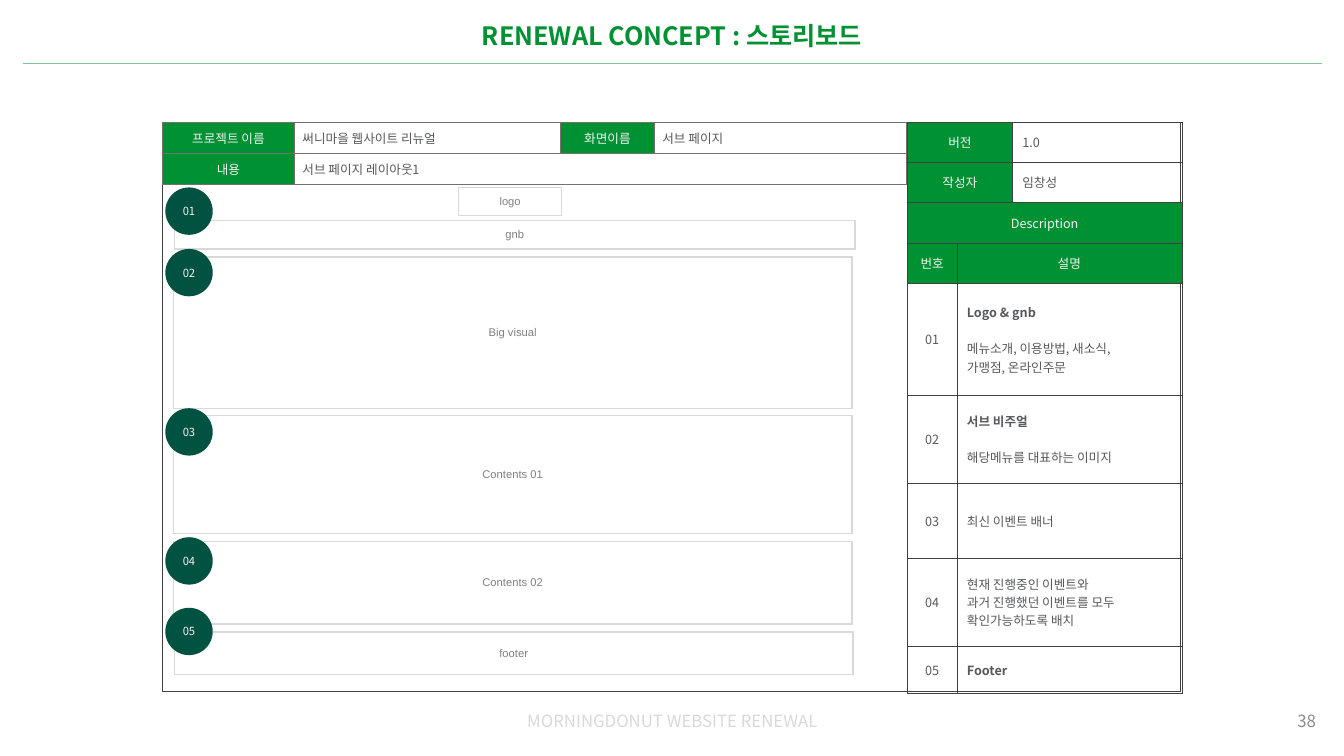
from dataclasses import dataclass
from pptx import Presentation
from pptx.dml.color import RGBColor
from pptx.enum.shapes import MSO_CONNECTOR, MSO_SHAPE
from pptx.enum.text import MSO_ANCHOR, MSO_AUTO_SIZE, PP_ALIGN
from pptx.oxml.ns import qn
from pptx.util import Inches, Pt
from lxml.etree import SubElement


@dataclass(frozen=True)
class Theme:
    font: str = "Noto Sans CJK KR"
    wire_font: str = "Arial"
    green: str = "009132"
    badge: str = "015240"
    light: str = "F2F2F2"
    body: str = "58595B"
    wire_text: str = "808080"
    wire_line: str = "D9D9D9"
    frame: str = "404040"
    info_line: str = "767171"
    page: str = "8C8C8C"
    white: str = "FFFFFF"
    title_size: float = 18
    footer_size: float = 12
    table_size: float = 9
    small_size: float = 8
    hairline: float = 0.25
    rule_line: float = 0.5
    wire_width: float = 1
    paragraph_gap: float = 13


@dataclass(frozen=True)
class Ink:
    size: float
    color: str
    font: str
    align: PP_ALIGN = PP_ALIGN.CENTER
    bold: bool = False


@dataclass(frozen=True)
class Cell:
    lines: tuple
    ink: Ink
    fill: str = ""
    span: int = 1
    bold_first: bool = False


class Storyboard:
    def __init__(self, slide, theme, width, height, columns, rows):
        self.slide = slide
        self.theme = theme
        self.column = width / columns
        self.row = height / rows

    def box(self, left, top, width, height):
        return (round(left * self.column), round(top * self.row),
                round(width * self.column), round(height * self.row))

    def add_lines(self, frame, lines, ink, bold_first=False):
        for index, line in enumerate(lines):
            paragraph = frame.paragraphs[0] if index == 0 else frame.add_paragraph()
            paragraph.alignment = ink.align
            if bold_first and index == 1:
                paragraph.space_before = Pt(self.theme.paragraph_gap)
            run = paragraph.add_run()
            run.text = line
            run.font.size = Pt(ink.size)
            run.font.bold = ink.bold or (bold_first and index == 0)
            run.font.color.rgb = RGBColor.from_string(ink.color)
            run.font.name = ink.font
            SubElement(run.font._element, qn("a:ea"), typeface=ink.font)

    def title(self, text, area):
        heading = self.slide.shapes.title
        heading.left, heading.top, heading.width, heading.height = self.box(*area)
        frame = heading.text_frame
        frame.auto_size = MSO_AUTO_SIZE.NONE
        frame.vertical_anchor = MSO_ANCHOR.TOP
        self.add_lines(frame, [text], Ink(self.theme.title_size, self.theme.green,
                                          self.theme.font, bold=True))

    def label(self, text, area, color, align):
        frame = self.slide.shapes.add_textbox(*self.box(*area)).text_frame
        frame.word_wrap = True
        frame.vertical_anchor = MSO_ANCHOR.MIDDLE
        self.add_lines(frame, [text], Ink(self.theme.footer_size, color, self.theme.font, align))

    def rule(self, left, right, top):
        x, y, width, _ = self.box(left, top, right - left, 0)
        line = self.slide.shapes.add_connector(MSO_CONNECTOR.STRAIGHT, x, y, x + width, y)
        line.line.width = Pt(self.theme.rule_line)
        line.line.color.rgb = RGBColor.from_string(self.theme.green)
        color = line._element.spPr.find(".//" + qn("a:srgbClr"))
        SubElement(color, qn("a:alpha"), val="50000")
        SubElement(line._element.spPr, qn("a:effectLst"))

    def frame(self, area):
        outline = self.slide.shapes.add_shape(MSO_SHAPE.RECTANGLE, *self.box(*area))
        outline.shadow.inherit = False
        outline.fill.background()
        outline.line.color.rgb = RGBColor.from_string(self.theme.frame)
        outline.line.width = Pt(self.theme.hairline)

    def badge(self, text, left, top, size):
        circle = self.slide.shapes.add_shape(MSO_SHAPE.OVAL, *self.box(left, top, size, size))
        circle.shadow.inherit = False
        circle.fill.solid()
        circle.fill.fore_color.rgb = RGBColor.from_string(self.theme.badge)
        circle.line.fill.background()
        circle.text_frame.vertical_anchor = MSO_ANCHOR.MIDDLE
        self.add_lines(circle.text_frame, [text],
                       Ink(self.theme.small_size, self.theme.light, self.theme.font))

    def border(self, cell, color, width):
        properties = cell._tc.get_or_add_tcPr()
        for side in ("lnL", "lnR", "lnT", "lnB"):
            edge = SubElement(properties, qn("a:" + side), w=str(int(Pt(width))))
            SubElement(SubElement(edge, qn("a:solidFill")), qn("a:srgbClr"), val=color)

    def table(self, left, top, widths, heights, content, line, line_width, inset=(0.1, 0.05)):
        area = self.box(left, top, sum(widths), sum(heights))
        grid = self.slide.shapes.add_table(len(heights), len(widths), *area).table
        grid.first_row = grid.horz_banding = False
        for column, width in zip(grid.columns, widths):
            column.width = round(width * self.column)
        for row, height in zip(grid.rows, heights):
            row.height = round(height * self.row)
        for cell in grid.iter_cells():
            self.border(cell, line, line_width)
            cell.fill.background()
        for row_index, entries in enumerate(content):
            column_index = 0
            for entry in entries:
                cell = grid.cell(row_index, column_index)
                if entry.span > 1:
                    cell.merge(grid.cell(row_index, column_index + entry.span - 1))
                cell.margin_left = cell.margin_right = Inches(inset[0])
                cell.margin_top = cell.margin_bottom = Inches(inset[1])
                cell.vertical_anchor = MSO_ANCHOR.MIDDLE
                if entry.fill:
                    cell.fill.solid()
                    cell.fill.fore_color.rgb = RGBColor.from_string(entry.fill)
                self.add_lines(cell.text_frame, entry.lines, entry.ink, entry.bold_first)
                column_index += entry.span

    def head(self, text, span=1):
        theme = self.theme
        return Cell((text,), Ink(theme.table_size, theme.light, theme.font), theme.green, span)

    def value(self, *lines, span=1, align=PP_ALIGN.LEFT, bold_first=False):
        theme = self.theme
        ink = Ink(theme.table_size, theme.body, theme.font, align)
        return Cell(lines, ink, span=span, bold_first=bold_first)

    def wireframe(self, text, left, top, width, height):
        theme = self.theme
        block = Cell((text,), Ink(theme.small_size, theme.wire_text, theme.wire_font), theme.white)
        self.table(left, top, [width], [height], [[block]], theme.wire_line, theme.wire_width)


def main():
    deck = Presentation()
    deck.slide_width, deck.slide_height = Inches(13.33), Inches(7.5)
    theme = Theme()
    board = Storyboard(deck.slides.add_slide(deck.slide_layouts[5]), theme,
                       deck.slide_width, deck.slide_height, columns=133.3, rows=75)

    board.title("RENEWAL CONCEPT : 스토리보드", (13.9, 1.5, 105.5, 4))
    board.rule(2.3, 131.1, 6.3)
    board.label("MORNINGDONUT WEBSITE RENEWAL", (44.2, 69.5, 45, 4),
                theme.wire_line, PP_ALIGN.CENTER)
    board.label("38", (101.5, 69.5, 30, 4), theme.page, PP_ALIGN.RIGHT)
    board.frame((16.1, 12.1, 101, 56.5))

    project = [
        [board.head("프로젝트 이름"), board.value("써니마을 웹사이트 리뉴얼"),
         board.head("화면이름"), board.value("서브 페이지")],
        [board.head("내용"), board.value("서브 페이지 레이아웃1", span=3)],
    ]
    board.table(16.1, 12.1, [13.1, 26.4, 9.3, 25], [3.1, 3.1], project,
                theme.info_line, theme.hairline, inset=(0.08, 0.04))

    notes = [
        board.value("Logo & gnb", "메뉴소개, 이용방법, 새소식,", "가맹점, 온라인주문",
                    span=2, bold_first=True),
        board.value("서브 비주얼", "해당메뉴를 대표하는 이미지", span=2, bold_first=True),
        board.value("최신 이벤트 배너", span=2),
        board.value("현재 진행중인 이벤트와", "과거 진행했던 이벤트를 모두 확인가능하도록 배치", span=2),
        board.value("Footer", span=2, bold_first=True),
    ]
    description = [
        [board.head("버전", 2), board.value("1.0")],
        [board.head("작성자", 2), board.value("임창성")],
        [board.head("Description", 3)],
        [board.head("번호"), board.head("설명", 2)],
    ] + [[board.value(f"{number:02}", align=PP_ALIGN.CENTER), note]
         for number, note in enumerate(notes, 1)]
    board.table(90, 12.1, [4.9, 5.5, 16.8], [4] * 4 + [11.1, 8.7, 7.5, 8.7, 4.7],
                description, theme.frame, theme.hairline)

    for section in [
        ("gnb", 17.3, 21.9, 67.5, 2.8),
        ("Big visual", 17.2, 25.5, 67.3, 15),
        ("logo", 45.5, 18.6, 10.2, 2.8),
        ("Contents 01", 17.2, 41.2, 67.3, 11.7),
        ("Contents 02", 17.2, 53.7, 67.3, 8.2),
        ("footer", 17.3, 62.7, 67.3, 4.2),
    ]:
        board.wireframe(*section)
    for number, top in enumerate([18.6, 24.7, 40.5, 53.3, 60.3], 1):
        board.badge(f"{number:02}", 16.4, top, 4.7)

    deck.save("out.pptx")


if __name__ == "__main__":
    main()
